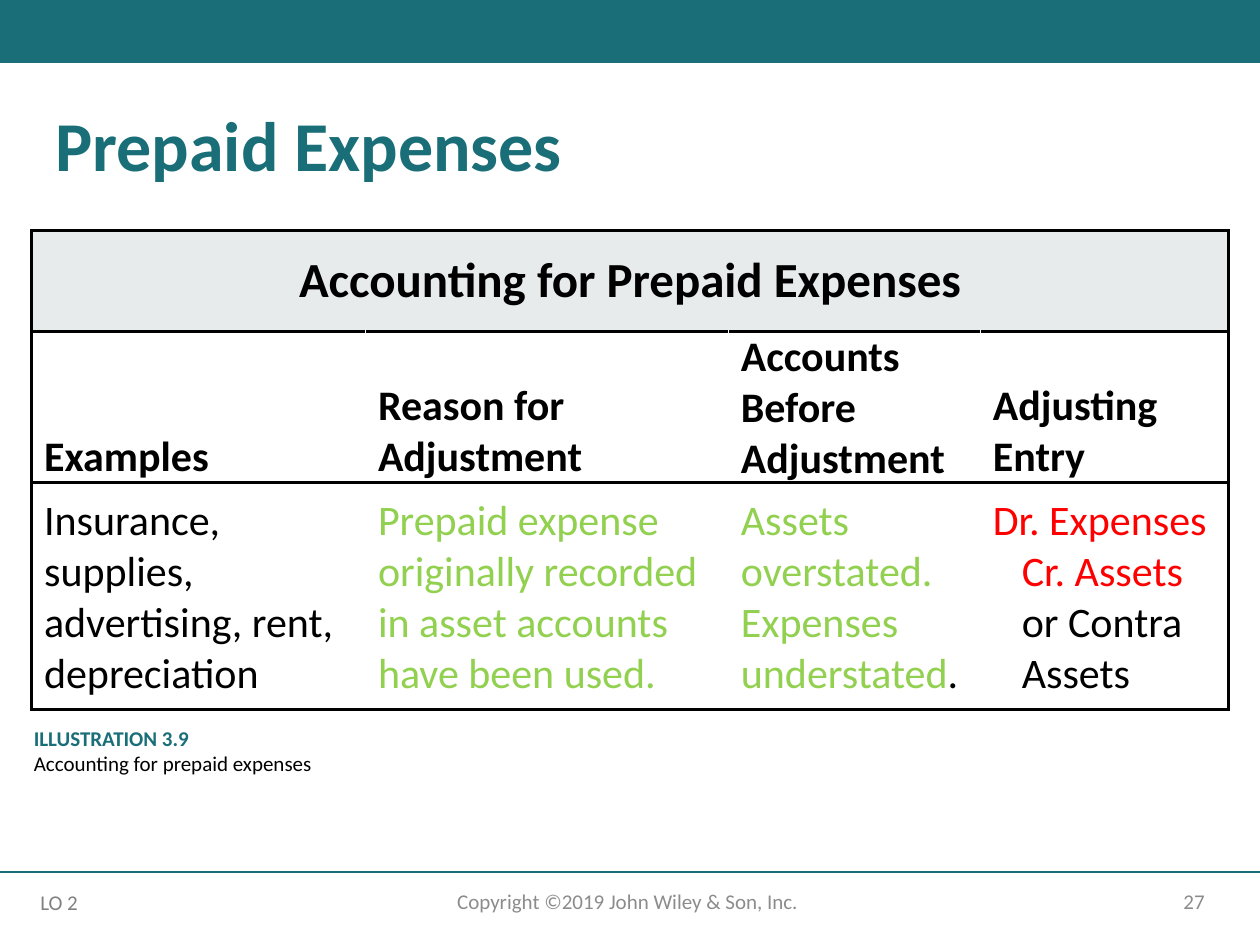
from lxml.etree import SubElement
from pptx import Presentation
from pptx.dml.color import RGBColor
from pptx.enum.shapes import MSO_CONNECTOR, MSO_SHAPE
from pptx.enum.text import MSO_ANCHOR, PP_ALIGN
from pptx.oxml.ns import qn
from pptx.util import Inches, Pt

TEAL = RGBColor(0x19, 0x6E, 0x78)
PALE = RGBColor(0xE8, 0xEB, 0xEC)
GRAY = RGBColor(0x8C, 0x8C, 0x8C)
MID_GRAY = RGBColor(0x80, 0x80, 0x80)
GREEN = RGBColor(0x92, 0xD0, 0x50)
RED = RGBColor(0xFF, 0, 0)
BLACK = RGBColor(0, 0, 0)
WHITE = RGBColor(0xFF, 0xFF, 0xFF)

COLUMNS = [2.65, 2.88, 2, 1.97]
ROWS = [0.8, 1.2, 1.8]
HEADINGS = [
    ["Examples"],
    ["Reason for", "Adjustment"],
    ["Accounts", "Before", "Adjustment"],
    ["Adjusting", "Entry"],
]
DETAILS = [
    (["Insurance,", "supplies,", "advertising, rent,", "depreciation"], BLACK),
    (["Prepaid expense", "originally recorded", "in asset accounts",
      "have been used."], GREEN),
    (["Assets", "overstated.", "Expenses", "understated"], GREEN),
    (["Dr. Expenses", "Cr. Assets", "or Contra", "Assets"], RED),
]


def add_run(p, text, size=24, color=BLACK, bold=False):
    r = p.add_run()
    r.text = text
    r.font.name = "Calibri"
    r.font.size = Pt(size)
    r.font.bold = bold
    r.font.color.rgb = color
    return r


def write_lines(tf, lines, align=PP_ALIGN.LEFT, **fmt):
    for i, line in enumerate(lines):
        p = tf.paragraphs[0] if i == 0 else tf.add_paragraph()
        p.alignment = align
        add_run(p, line, **fmt)


def add_text(s, box, lines, anchor=MSO_ANCHOR.TOP, **fmt):
    tf = s.shapes.add_textbox(*map(Inches, box)).text_frame
    tf.word_wrap = True
    tf.vertical_anchor = anchor
    write_lines(tf, lines, **fmt)
    return tf


def add_band(s, box):
    sp = s.shapes.add_shape(MSO_SHAPE.RECTANGLE, *map(Inches, box))
    sp.shadow.inherit = False
    sp.fill.solid()
    sp.fill.fore_color.rgb = TEAL
    sp.line.fill.background()


def add_title(s, box, text):
    title = s.shapes.title
    title.left, title.top, title.width, title.height = map(Inches, box)
    tf = title.text_frame
    tf.vertical_anchor = MSO_ANCHOR.MIDDLE
    write_lines(tf, [text], size=40, color=TEAL, bold=True)
    tf.paragraphs[0].line_spacing = 0.9


def set_borders(cell, **sides):
    """Draw black 1.5 pt borders, or white 1 pt where a side is False."""
    tc_pr = cell._tc.get_or_add_tcPr()
    for i, side in enumerate("LRTB"):
        outer = sides.get(side, True)
        ln = tc_pr.makeelement(qn(f"a:ln{side}"),
                               {"w": str(Pt(1.5 if outer else 1))})
        fill = SubElement(ln, qn("a:solidFill"))
        SubElement(fill, qn("a:srgbClr"), val=str(BLACK if outer else WHITE))
        tc_pr.insert(i, ln)


def format_cell(cell, fill, anchor, margin_y):
    cell.fill.solid()
    cell.fill.fore_color.rgb = fill
    cell.vertical_anchor = anchor
    cell.margin_left = cell.margin_right = Inches(0.1)
    cell.margin_top = cell.margin_bottom = Inches(margin_y)


def add_expense_table(s, box):
    table = s.shapes.add_table(len(ROWS), len(COLUMNS),
                               *map(Inches, box)).table
    for column, width in zip(table.columns, COLUMNS):
        column.width = Inches(width)
    for row, height in zip(table.rows, ROWS):
        row.height = Inches(height)

    last = len(COLUMNS) - 1
    banner = table.cell(0, 0)
    banner.merge(table.cell(0, last))
    for c, (heading, (detail, color)) in enumerate(zip(HEADINGS, DETAILS)):
        format_cell(table.cell(0, c), PALE, MSO_ANCHOR.MIDDLE, 0)
        set_borders(table.cell(0, c))
        head, body = table.cell(1, c), table.cell(2, c)
        format_cell(head, WHITE, MSO_ANCHOR.BOTTOM, 0)
        format_cell(body, WHITE, MSO_ANCHOR.TOP, 0.1)
        for cell in (head, body):
            set_borders(cell, L=c == 0, R=c == last)
        write_lines(head.text_frame, heading, bold=True)
        write_lines(body.text_frame, detail, color=color)
    write_lines(banner.text_frame, ["Accounting for Prepaid Expenses"],
                align=PP_ALIGN.CENTER, size=28, bold=True)

    add_run(table.cell(2, 2).text_frame.paragraphs[-1], ".")
    entry = table.cell(2, last).text_frame.paragraphs
    for p in entry[1:]:
        p._p.get_or_add_pPr().set("marL", str(Inches(0.23)))
    for p in entry[2:]:
        p.runs[0].font.color.rgb = BLACK


def add_caption(s, box, label, text):
    tf = add_text(s, box, [label], size=12, color=TEAL, bold=True)
    add_run(tf.add_paragraph(), text, size=12)


def add_footer(s, top):
    rule = s.shapes.add_connector(MSO_CONNECTOR.STRAIGHT, 0, Inches(top),
                                  Inches(10), Inches(top))
    rule.line.color.rgb = TEAL
    rule.line.width = Pt(1)
    SubElement(rule._element.spPr, qn("a:effectLst"))

    y = top + 0.03
    add_text(s, (7.06, y, 2.6, 0.4), ["27"], MSO_ANCHOR.MIDDLE,
             align=PP_ALIGN.RIGHT, size=12, color=GRAY)
    add_text(s, (3.31, y, 3.38, 0.4),
             ["Copyright ©2019 John Wiley & Son, Inc. "], MSO_ANCHOR.MIDDLE,
             align=PP_ALIGN.CENTER, size=12, color=GRAY)
    tf = add_text(s, (0.25, top + 0.09, 0.53, 0.3), ["LO 2"],
                  size=12, color=MID_GRAY)
    tf.margin_left, tf.margin_right = Inches(0.07), 0


def main():
    prs = Presentation()
    prs.slide_width, prs.slide_height = Inches(10), Inches(7.5)
    s = prs.slides.add_slide(prs.slide_layouts[5])
    add_band(s, (0, 0, 10, 0.5))
    add_footer(s, 6.92)
    add_title(s, (0.34, 0.83, 9.49, 0.71), "Prepaid Expenses")
    add_expense_table(s, (0.25, 1.83, sum(COLUMNS), sum(ROWS)))
    add_caption(s, (0.17, 5.71, 3.92, 0.5), "ILLUSTRATION 3.9",
                "Accounting for prepaid expenses")
    prs.save("out.pptx")


if __name__ == "__main__":
    main()
